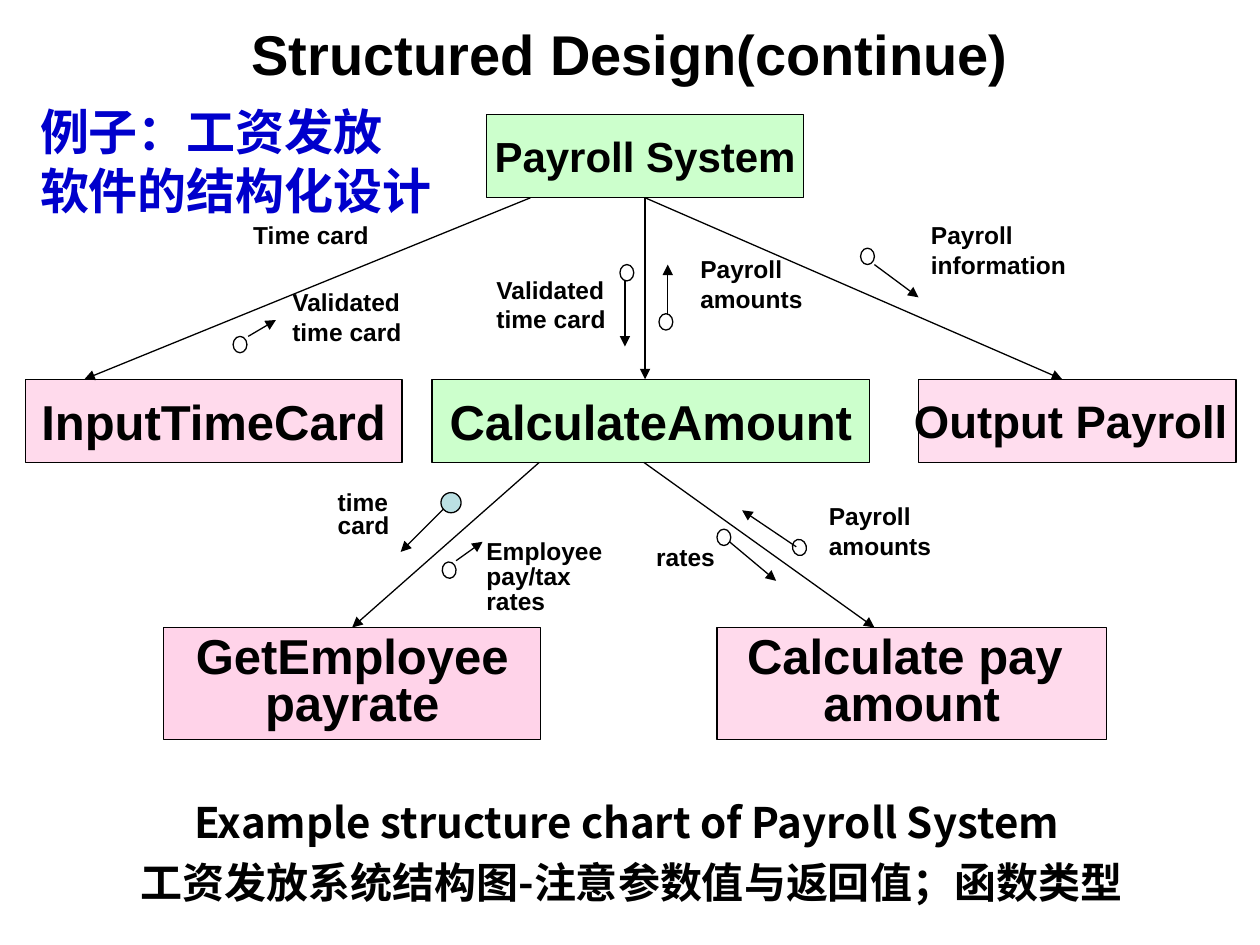
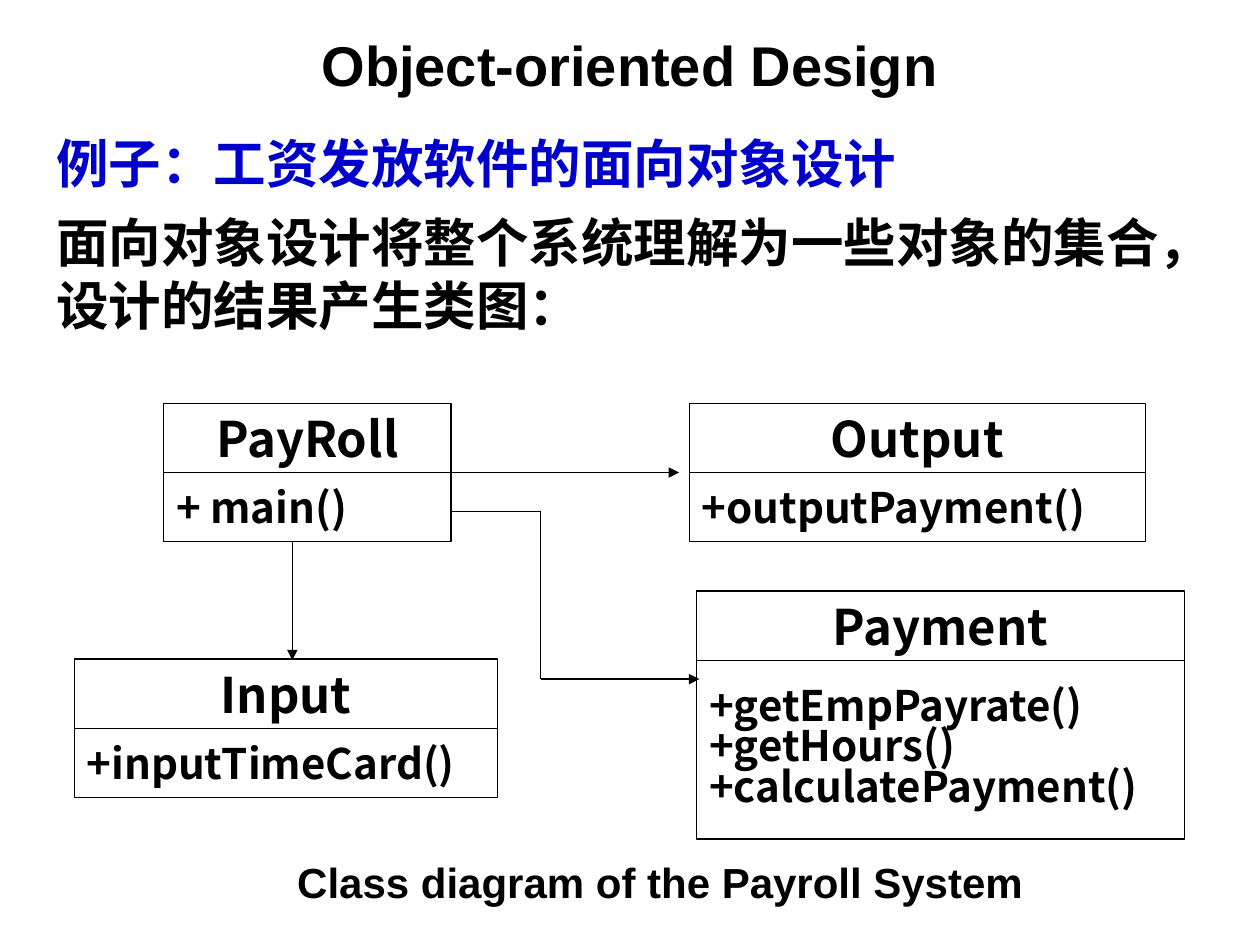
from pptx import Presentation
from pptx.dml.color import RGBColor
from pptx.enum.shapes import MSO_CONNECTOR, MSO_SHAPE
from pptx.enum.text import MSO_ANCHOR, MSO_AUTO_SIZE, PP_ALIGN
from pptx.oxml.ns import qn
from pptx.oxml.xmlchemy import OxmlElement
from pptx.util import Inches, Pt

LEFT, CENTER = PP_ALIGN.LEFT, PP_ALIGN.CENTER
TOP, MIDDLE = MSO_ANCHOR.TOP, MSO_ANCHOR.MIDDLE
RECTANGLE, OVAL = MSO_SHAPE.RECTANGLE, MSO_SHAPE.OVAL
STRAIGHT = MSO_CONNECTOR.STRAIGHT
NO_AUTOFIT = MSO_AUTO_SIZE.NONE
SIDE_TOP, SIDE_BOTTOM = 0, 2

COLORS = {
    "text": "000000",
    "heading": "0000CC",
    "line": "000000",
    "control": "CCFFCC",
    "worker": "FF99CC",
    "class": "FFFFFF",
    "ball": "BBE0E3",
}
LATIN, CHINESE = "Arial", "Noto Sans CJK SC"
DEFAULT_INSETS = (0.1, 0.05, 0.1, 0.05)
SIDELESS = (0, 0.05, 0, 0.05)
NO_INSETS = (0, 0, 0, 0)

STRUCTURE_TITLE = "Structured Design(continue)"
STRUCTURE_HEADING = ["例子：工资发放", "软件的结构化设计"]
STRUCTURE_CAPTION = [
    "Example structure chart of Payroll System ",
    "工资发放系统结构图-注意参数值与返回值；函数类型",
]

# name: lines, box, size, colour, opacity
MODULES = {
    "payroll": (["Payroll System"], (3.86, 0.91, 2.52, 0.66), 24, "control", 100),
    "input": (["InputTimeCard"], (0.2, 3.01, 2.99, 0.66), 28, "worker", 36),
    "calculate": (["CalculateAmount"], (3.43, 3.01, 3.47, 0.66), 28, "control", 100),
    "output": (["Output Payroll "], (7.29, 3.01, 2.52, 0.66), 26, "worker", 33),
    "pay": (["Calculate pay ", "amount"], (5.69, 4.98, 3.09, 0.89), 28, "worker", 36),
    "rate": (["GetEmployee", "payrate"], (1.3, 4.98, 2.99, 0.89), 28, "worker", 43),
}

CALLS = [
    ((4.21, 1.57), (0.67, 3.01), None, None),
    ((5.12, 1.57), (5.12, 3.01), "payroll", None),
    ((5.12, 1.57), (8.43, 3.01), "payroll", None),
    ((4.28, 3.67), (2.79, 4.98), None, "rate"),
    ((5.11, 3.67), (6.94, 4.98), None, None),
]

FLOW_LABELS = [
    (["Time card"], (2.01, 1.7, 1.06, 0.33), SIDELESS, 1),
    (["Validated", "time card"], (2.32, 2.23, 1.06, 0.57), SIDELESS, 1),
    (["Validated time card"], (3.94, 2.18, 0.98, 0.47), NO_INSETS, 1),
    (["Payroll amounts"], (5.46, 1.97, 1.26, 0.57), DEFAULT_INSETS, 1),
    (["Payroll information"], (7.29, 1.7, 1.37, 0.57), DEFAULT_INSETS, 1),
    (["time", "card"], (2.63, 3.91, 0.51, 0.37), (0.05, 0, 0, 0), 0.8),
    (["Employee pay/tax", "rates"], (3.84, 4.24, 1.08, 0.7), (0.02, 0.05, 0.02, 0.05), 0.85),
    (["rates"], (5.11, 4.25, 0.8, 0.33), DEFAULT_INSETS, 1),
    (["Payroll amounts"], (6.48, 3.93, 1.26, 0.57), DEFAULT_INSETS, 1),
]

SMALL_BALL = (0.11, 0.13)
FLOW_ARROWS = [
    ((1.97, 2.67), (2.19, 2.54), (1.85, 2.67), SMALL_BALL, 0, None),
    ((4.96, 2.23), (4.96, 2.75), (4.92, 2.1), SMALL_BALL, 0, None),
    ((5.3, 2.49), (5.3, 2.1), (5.23, 2.49), SMALL_BALL, 0, None),
    ((6.94, 2.1), (7.29, 2.36), (6.83, 1.97), SMALL_BALL, 0, None),
    ((3.57, 3.99), (3.18, 4.38), (3.5, 3.91), (0.16, 0.16), 0, "ball"),
    ((3.62, 4.45), (3.83, 4.3), (3.51, 4.46), SMALL_BALL, 354, None),
    ((5.79, 4.3), (6.16, 4.61), (5.69, 4.2), SMALL_BALL, 0, None),
    ((6.32, 4.34), (5.89, 4.05), (6.29, 4.28), SMALL_BALL, 344.7, None),
]

OBJECT_TITLE = "Object-oriented Design"
OBJECT_HEADING = "例子：工资发放软件的面向对象设计"
OBJECT_STATEMENT = "面向对象设计将整个系统理解为一些对象的集合，设计的结果产生类图："
OBJECT_CAPTION = "Class diagram of the Payroll System"

NAME_HEIGHT = 0.55
CLASSES = [
    ("Input", ["+inputTimeCard()"], (0.59, 5.23), 3.36, 0.55),
    ("Output", ["+outputPayment()"], (5.47, 3.2), 3.62, 0.55),
    ("Payment", ["+getEmpPayrate()", "+getHours()", "+calculatePayment()"],
     (5.53, 4.69), 3.87, 1.42),
    ("PayRoll", ["+ main()"], (1.3, 3.2), 2.28, 0.55),
]
ASSOCIATIONS = [
    [(3.58, 3.75), (5.39, 3.75)],
    [(2.32, 4.3), (2.32, 5.24)],
    [(3.58, 4.06), (4.29, 4.06), (4.29, 5.39), (5.55, 5.39)],
]


def color(name):
    return RGBColor.from_string(COLORS[name])


def inches(values):
    return [Inches(value) for value in values]


def write_text(shape, lines, size, font=LATIN, ink="text", align=LEFT, spacing=1,
               anchor=TOP, insets=DEFAULT_INSETS, wrap=True, hanging=None):
    frame = shape.text_frame
    frame.auto_size = NO_AUTOFIT
    frame.word_wrap = wrap
    frame.vertical_anchor = anchor
    (frame.margin_left, frame.margin_top,
     frame.margin_right, frame.margin_bottom) = inches(insets)
    for index, line in enumerate(lines):
        paragraph = frame.add_paragraph() if index else frame.paragraphs[0]
        if hanging:
            properties = paragraph._p.get_or_add_pPr()
            properties.set("marL", str(Inches(hanging)))
            properties.set("indent", str(-Inches(hanging)))
            properties.append(OxmlElement("a:buNone"))
        paragraph.alignment = align
        paragraph.line_spacing = spacing
        paragraph.space_before = Pt(0)
        run = paragraph.add_run()
        run.text = line
        run.font.size = Pt(size)
        run.font.bold = True
        run.font.color.rgb = color(ink)
        run.font.name = font
        east_asian = OxmlElement("a:ea")
        east_asian.set("typeface", font)
        run.font._element.append(east_asian)


def add_text(slide, box, lines, size, **style):
    write_text(slide.shapes.add_textbox(*inches(box)), lines, size, **style)


def add_outlined(slide, kind, box, fill=None, opacity=100):
    shape = slide.shapes.add_shape(kind, *inches(box))
    shape.shadow.inherit = False
    shape.line.color.rgb = color("line")
    shape.line.width = Pt(0.75)
    if fill is None:
        shape.fill.background()
        return shape
    shape.fill.solid()
    shape.fill.fore_color.rgb = color(fill)
    if opacity < 100:
        alpha = OxmlElement("a:alpha")
        alpha.set("val", str(opacity * 1000))
        shape.element.spPr.find(qn("a:solidFill"))[0].append(alpha)
    return shape


def add_line(slide, start, end, arrow=True):
    connector = slide.shapes.add_connector(STRAIGHT, *inches(start + end))
    connector.line.color.rgb = color("line")
    connector.line.width = Pt(0.75)
    if arrow:
        tail = OxmlElement("a:tailEnd")
        tail.set("type", "triangle")
        connector.line._get_or_add_ln().append(tail)
    connector.element.spPr.append(OxmlElement("a:effectLst"))
    return connector


def place(shape, box):
    shape.left, shape.top, shape.width, shape.height = inches(box)
    return shape


def add_slide(presentation, layout, title, title_top):
    slide = presentation.slides.add_slide(presentation.slide_layouts[layout])
    write_text(place(slide.shapes.title, (0.5, title_top, 9, 0.59)), [title], 32,
               align=CENTER, anchor=MIDDLE)
    return slide


def build_structure_chart(presentation):
    slide = add_slide(presentation, 1, STRUCTURE_TITLE, 0.13)
    write_text(place(slide.placeholders[1], (0.51, 6.19, 9, 1.1)), STRUCTURE_CAPTION, 24,
               font=CHINESE, align=CENTER, spacing=1.2, hanging=0.38)
    modules = {}
    for name, (lines, box, size, fill, opacity) in MODULES.items():
        modules[name] = add_outlined(slide, RECTANGLE, box, fill, opacity)
        write_text(modules[name], lines, size, align=CENTER, anchor=MIDDLE, wrap=False,
                   spacing=0.8 if len(lines) > 1 else 1)
    for start, end, caller, callee in CALLS:
        connector = add_line(slide, start, end)
        if caller:
            connector.begin_connect(modules[caller], SIDE_BOTTOM)
        if callee:
            connector.end_connect(modules[callee], SIDE_TOP)
    for lines, box, insets, spacing in FLOW_LABELS:
        add_text(slide, box, lines, 14, insets=insets, spacing=spacing)
    for start, end, corner, size, rotation, fill in FLOW_ARROWS:
        add_line(slide, start, end)
        add_outlined(slide, OVAL, corner + size, fill).rotation = rotation
    add_text(slide, (0.22, 0.76, 3.3, 1.04), STRUCTURE_HEADING, 28,
             font=CHINESE, ink="heading", wrap=False)


def build_class_diagram(presentation):
    slide = add_slide(presentation, 5, OBJECT_TITLE, 0.21)
    for name, methods, (left, top), width, height in CLASSES:
        header = add_outlined(slide, RECTANGLE, (left, top, width, NAME_HEIGHT), "class")
        write_text(header, [name], 28, font=CHINESE, align=CENTER, anchor=MIDDLE, wrap=False)
        body = add_outlined(slide, RECTANGLE, (left, top + NAME_HEIGHT, width, height), "class")
        write_text(body, methods, 24, font=CHINESE, anchor=MIDDLE, wrap=False,
                   spacing=0.8 if len(methods) > 1 else 1)
    for points in ASSOCIATIONS:
        for start, end in zip(points, points[1:]):
            add_line(slide, start, end, arrow=end == points[-1])
    add_text(slide, (0.74, 6.7, 9, 0.59), [OBJECT_CAPTION], 24, align=CENTER, anchor=MIDDLE)
    add_text(slide, (0.35, 1.62, 9.21, 1.1), [OBJECT_STATEMENT], 30, font=CHINESE)
    add_text(slide, (0.35, 0.99, 7.28, 0.6), [OBJECT_HEADING], 30, font=CHINESE, ink="heading")


def main():
    presentation = Presentation()
    presentation.slide_width = Inches(10)
    presentation.slide_height = Inches(7.5)
    build_structure_chart(presentation)
    build_class_diagram(presentation)
    presentation.save("out.pptx")


if __name__ == "__main__":
    main()
